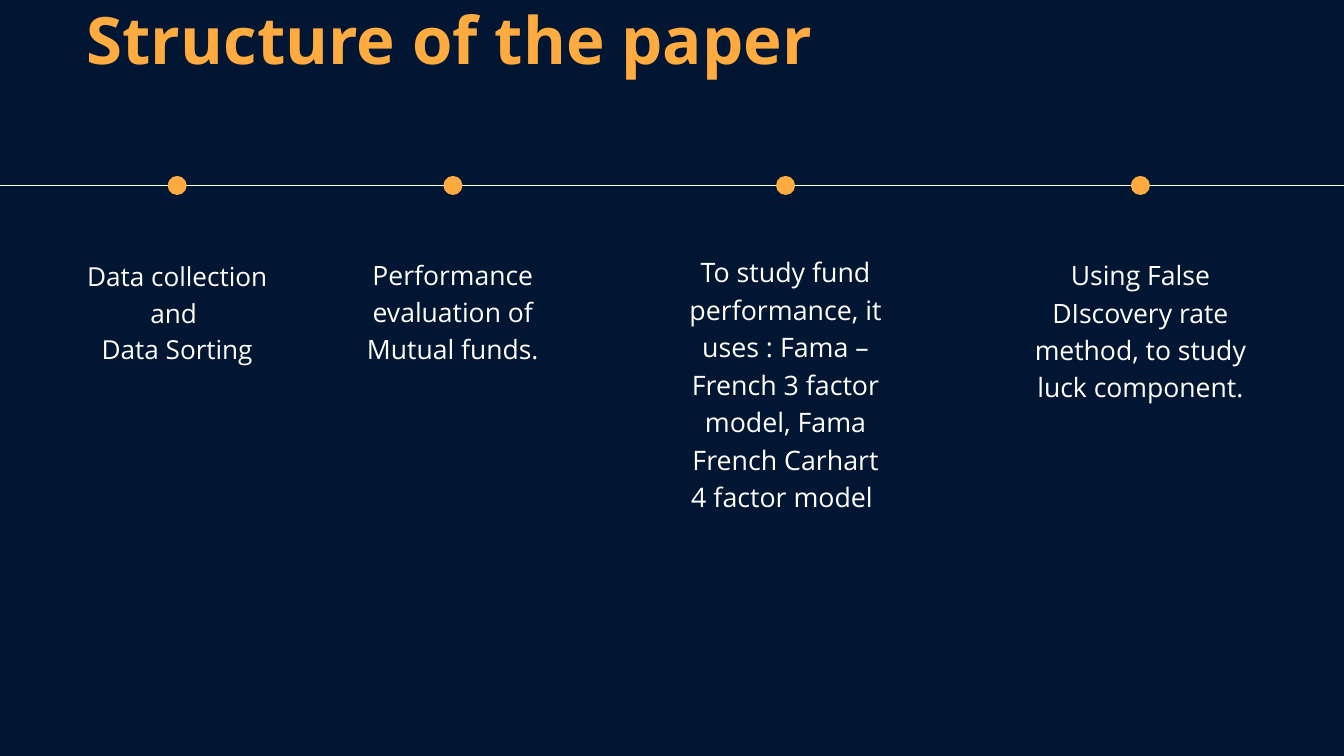
from pptx import Presentation
from pptx.dml.color import RGBColor
from pptx.enum.shapes import MSO_CONNECTOR, MSO_SHAPE
from pptx.enum.text import MSO_AUTO_SIZE, PP_ALIGN
from pptx.oxml.ns import qn
from pptx.util import Inches, Pt
from lxml import etree

STRAIGHT = MSO_CONNECTOR.STRAIGHT
OVAL = MSO_SHAPE.OVAL
GROW = MSO_AUTO_SIZE.SHAPE_TO_FIT_TEXT
LEFT, CENTER = PP_ALIGN.LEFT, PP_ALIGN.CENTER

WIDTH, HEIGHT = Inches(20), Inches(11.25)
FONT = "Open Sans"
COLORS = {"background": "011633", "accent": "FFAB40", "text": "FFFFFF"}
TIMELINE_Y = 24.53
DOT_SIZE = 1.42

STEPS = [
    # centre, top, width, height (percent), font size, line spacing, paragraphs
    (13.18, 33.78, 14.65, 14.31, 28, 39.2, ["Data collection and ", "Data Sorting"]),
    (33.7, 33.6, 15.8, 14.49, 28.4, 39.7, ["Performance evaluation of Mutual funds."]),
    (58.45, 33.16, 15.5, 34.13, 28.7, 40.2,
     ["To study fund performance, it uses : Fama – French 3 factor model, "
      "Fama French Carhart 4 factor model "]),
    (84.85, 33.6, 16.1, 19.38, 28.5, 39.9,
     ["Using False DIscovery rate method, to study luck component."]),
]


def px(percent):
    """Return a percentage of the slide width."""
    return round(WIDTH * percent / 100)


def py(percent):
    """Return a percentage of the slide height."""
    return round(HEIGHT * percent / 100)


def color(name):
    """Return a palette colour."""
    return RGBColor.from_string(COLORS[name])


def add_timeline(s):
    """Draw the horizontal line across the slide."""
    line = s.shapes.add_connector(STRAIGHT, 0, py(TIMELINE_Y), WIDTH, py(TIMELINE_Y))
    line.line.color.rgb = color("text")
    line.line.width = Pt(0.75)
    etree.SubElement(line._element.spPr, qn("a:effectLst"))


def add_dot(s, center):
    """Draw a timeline marker centred on the line."""
    size = px(DOT_SIZE)
    sp = s.shapes.add_shape(
        OVAL, px(center) - size // 2, py(TIMELINE_Y) - size // 2, size, size)
    sp.shadow.inherit = False
    sp.fill.solid()
    sp.fill.fore_color.rgb = color("accent")
    sp.line.fill.background()


def add_text(s, box, paragraphs, size, spacing, fill="text", align=CENTER, bold=False):
    """Add a wrapped text box without insets."""
    left, top, width, height = box
    tf = s.shapes.add_textbox(px(left), py(top), px(width), py(height)).text_frame
    tf.word_wrap = True
    tf.auto_size = GROW
    tf.margin_left = tf.margin_right = tf.margin_top = tf.margin_bottom = 0
    tf.text = "\n".join(paragraphs)
    for p in tf.paragraphs:
        p.alignment = align
        p.line_spacing = Pt(spacing)
        p.font.name = FONT
        p.font.size = Pt(size)
        p.font.bold = bold
        p.font.color.rgb = color(fill)


def main():
    """Build the timeline slide."""
    prs = Presentation()
    prs.slide_width, prs.slide_height = WIDTH, HEIGHT
    s = prs.slides.add_slide(prs.slide_layouts[6])
    s.background.fill.solid()
    s.background.fill.fore_color.rgb = color("background")

    add_timeline(s)
    for center, top, width, height, size, spacing, paragraphs in STEPS:
        add_dot(s, center)
        add_text(s, (center - width / 2, top, width, height), paragraphs, size, spacing)
    add_text(s, (6.45, -0.09, 77.65, 10.49), ["Structure of the paper"],
             70, 84, "accent", LEFT, True)
    prs.save("out.pptx")


if __name__ == "__main__":
    main()
